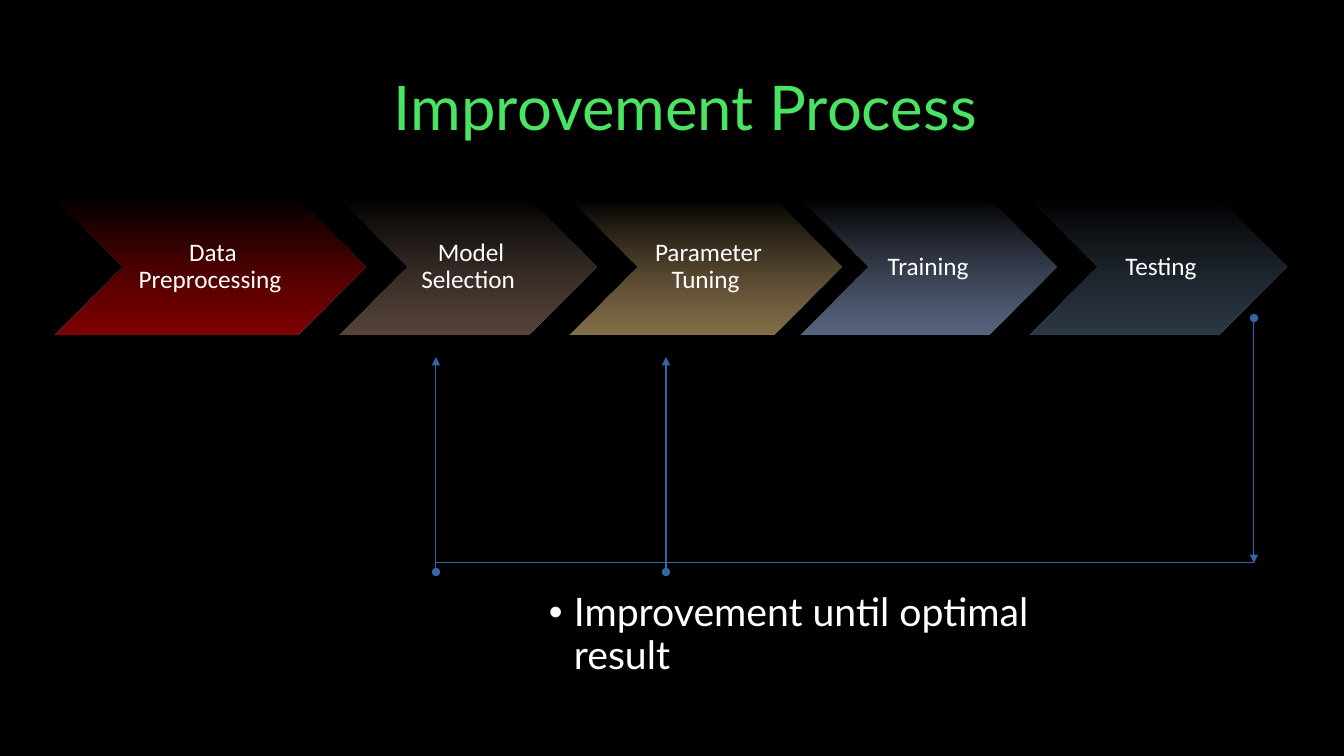
from lxml import etree
from pptx import Presentation, util as u
from pptx.dml.color import RGBColor
from pptx.enum import shapes, text
from pptx.oxml import ns

PX = 12192000 / 1344  # EMU in one px


def px(n):
    return u.Emu(round(n * PX))


def rgb(value):
    return RGBColor.from_string(value)


def add_xml(parent, tag, **attrs):
    return etree.SubElement(parent, ns.qn(tag), attrs)


class ProcessSlide:
    BACKGROUND, TITLE, INK, LINE = "000000", "4AE463", "FFFFFF", "3465A4"
    HEADING_FONT, LABEL_FONT = "Lato", "Calibri"

    def __init__(self, prs):
        self.slide = prs.slides.add_slide(prs.slide_layouts[5])
        fill = self.slide.background.fill
        fill.solid()
        fill.fore_color.rgb = rgb(self.BACKGROUND)

    def set_text(self, sp, words, font, size, color, anchor, insets):
        """Fill the shape with one styled paragraph and return it."""
        tf = sp.text_frame
        tf.text = words
        tf.word_wrap = True
        tf.auto_size = text.MSO_AUTO_SIZE.NONE
        tf.vertical_anchor = anchor
        tf.margin_left, tf.margin_top, tf.margin_right, tf.margin_bottom = map(px, insets)
        p = tf.paragraphs[0]
        for r in p.runs:
            r.font.name, r.font.size = font, u.Pt(size)
            r.font.color.rgb = rgb(color)
        return p

    def indent(self, p, left, first=0):
        pPr = p._p.get_or_add_pPr()
        pPr.set("marL", str(px(left)))
        pPr.set("indent", str(px(first)))
        return pPr

    def title(self, words, x, y, w, h, left):
        sp = self.slide.shapes.title
        sp.left, sp.top, sp.width, sp.height = map(px, (x, y, w, h))
        p = self.set_text(sp, words, self.HEADING_FONT, 44, self.TITLE,
                          text.MSO_ANCHOR.MIDDLE, (0, 0, 0, 0))
        p.alignment = text.PP_ALIGN.LEFT
        self.indent(p, left)

    def chevron(self, words, x, y, w, h, base, top):
        """Add a step that fades from base, at the bottom, to a clear top."""
        sp = self.slide.shapes.add_shape(shapes.MSO_SHAPE.CHEVRON, *map(px, (x, y, w, h)))
        sp.shadow.inherit = False
        sp.line.fill.background()
        sp.fill.gradient()
        sp.fill.gradient_angle = 90
        for stop, color in zip(sp.fill.gradient_stops, (base, top)):
            stop.color.rgb = rgb(color)
        clear = sp._element.spPr.findall(".//" + ns.qn("a:srgbClr"))[-1]
        add_xml(clear, "a:alpha", val="0")
        p = self.set_text(sp, words, self.LABEL_FONT, 18, self.INK,
                          text.MSO_ANCHOR.MIDDLE, (9, 3, 3, 3))
        p.alignment = text.PP_ALIGN.CENTER
        p.line_spacing, p.space_after = 0.9, u.Pt(7.3)

    def line(self, x1, y1, x2, y2, arrow=True):
        """Add a line; an arrow starts with a dot and ends with a triangle."""
        sp = self.slide.shapes.add_connector(
            shapes.MSO_CONNECTOR.STRAIGHT, *map(px, (x1, y1, x2, y2)))
        sp.line.width = u.Pt(0.75)
        sp.line.color.rgb = rgb(self.LINE)
        spPr = sp._element.spPr
        if arrow:
            ln = spPr.find(ns.qn("a:ln"))
            add_xml(ln, "a:headEnd", type="oval")
            add_xml(ln, "a:tailEnd", type="triangle")
        add_xml(spPr, "a:effectLst")

    def bullet(self, words, x, y, w, h):
        sp = self.slide.shapes.add_textbox(*map(px, (x, y, w, h)))
        p = self.set_text(sp, words, self.HEADING_FONT, 28, self.INK,
                          text.MSO_ANCHOR.TOP, (10, 5, 10, 5))
        p.line_spacing, p.space_before = 0.9, u.Pt(10)
        pPr = self.indent(p, 25, -25)
        add_xml(add_xml(pPr, "a:buClr"), "a:srgbClr", val=self.INK)
        add_xml(pPr, "a:buFont", typeface="Arial")
        add_xml(pPr, "a:buChar", char="•")


STEPS = [  # label, left, width, bottom colour, top colour
    ("Data Preprocessing ", 55, 310, "810000", "A70000"),
    ("Model Selection ", 340, 256, "58463D", "725C4F"),
    ("Parameter Tuning ", 570, 271, "87714B", "AF9261"),
    ("Training ", 800, 256, "5A6783", "7686A9"),
    ("Testing", 1030, 256, "2E3A46", "3B4B5C"),
]
MODEL_X, TUNING_X, TESTING_X = 436, 666, 1254
LOOP_Y = 563


def main():
    prs = Presentation()
    prs.slide_width, prs.slide_height = px(1344), px(756)
    s = ProcessSlide(prs)
    s.title("Improvement Process", -6, 69, 1094, 74, left=400)
    for label, x, w, base, top in STEPS:
        s.chevron(label, x, 199, w, 136, base, top)
    s.line(TESTING_X, 318, TESTING_X, LOOP_Y)
    for x in (MODEL_X, TUNING_X):
        s.line(x, 572, x, 357)
    s.bullet("Improvement until optimal result", 539, 588, 547, 48)
    s.line(TESTING_X, LOOP_Y, MODEL_X, LOOP_Y, arrow=False)
    prs.save("out.pptx")


if __name__ == "__main__":
    main()
